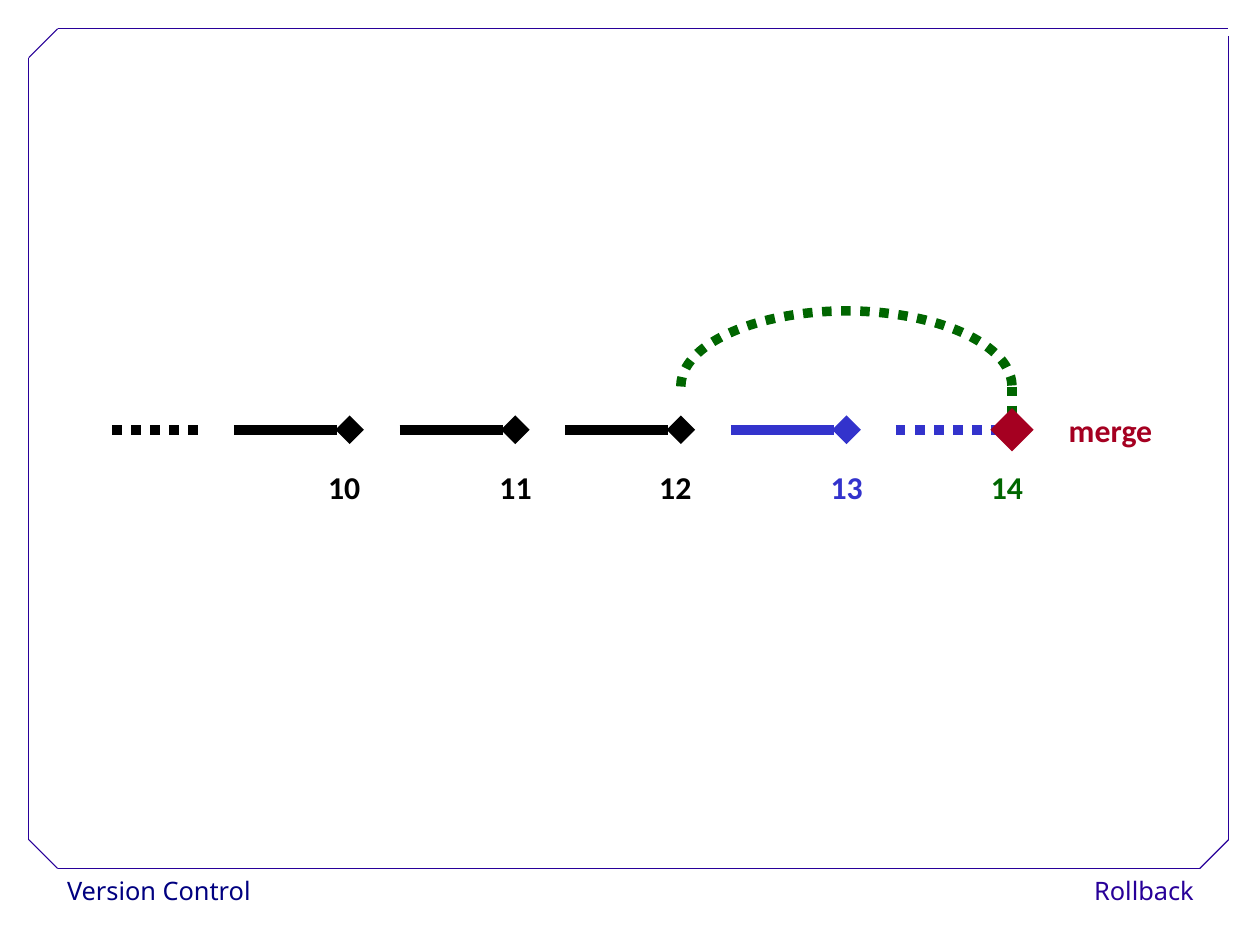
from lxml.etree import SubElement
from pptx import Presentation
from pptx.dml.color import RGBColor
from pptx.enum.dml import MSO_LINE
from pptx.enum.shapes import MSO_CONNECTOR, MSO_SHAPE
from pptx.enum.text import PP_ALIGN
from pptx.oxml.ns import qn
from pptx.util import Cm, Pt

BLACK, BLUE, GREEN, RED = "000000", "3333CC", "006600", "A50021"
NAVY, VIOLET, WHITE = "000080", "280099", "FFFFFF"
rgb = RGBColor.from_string

deck = Presentation()
deck.slide_width, deck.slide_height = Cm(28), Cm(21)
slide = deck.slides.add_slide(deck.slide_layouts[6])
shapes = slide.shapes


def add_label(wording, box, color, font_format, paragraph_format):
    label = shapes.add_textbox(*map(Cm, box))
    label.text_frame.word_wrap = True
    paragraph = label.text_frame.paragraphs[0]
    run = paragraph.add_run()
    run.text = wording
    run.font.color.rgb = rgb(color)
    for target, values in ((run.font, font_format), (paragraph, paragraph_format)):
        for attribute, value in values.items():
            setattr(target, attribute, value)
    return label


def add_stroke(ends, color, width, dash=None, diamond=False):
    stroke = shapes.add_connector(MSO_CONNECTOR.STRAIGHT, *map(Cm, ends))
    stroke.line.color.rgb = rgb(color)
    stroke.line.width = Pt(width)
    if dash:
        stroke.line.dash_style = dash
    properties = stroke._element.spPr
    if diamond:
        SubElement(properties.find(qn("a:ln")), qn("a:tailEnd"), type="diamond")
    SubElement(properties, qn("a:effectLst"))


footer_font = {"name": "Noto Sans", "size": Pt(16)}
for wording, box, color, alignment in (
    ("Version Control", (1.24, 19.3, 5.46, 1.02), NAVY, PP_ALIGN.LEFT),
    ("Rollback", (23.22, 19.3, 3.56, 1.02), VIOLET, PP_ALIGN.RIGHT),
):
    footer = add_label(wording, box, color, footer_font,
                       {"alignment": alignment, "line_spacing": 1.02})
    footer.fill.solid()
    footer.fill.fore_color.rgb = rgb(WHITE)

left, right, top, bottom, corner = 0.64, 27.3, 0.64, 19.3, 0.64
for border in (
    (left + corner, bottom, right - corner, bottom),
    (left, bottom - corner, left, top + corner),
    (left + corner, top, right, top),
    (right, bottom - corner, right, 0.81),
    (left, top + corner, left + corner, top),
    (right - corner, bottom, right, bottom - corner),
    (left, bottom - corner, left + corner, bottom),
):
    add_stroke(border, VIOLET, 0.75)

timeline, first_revision, revision_gap, revision_length = 9.55, 7.77, 3.68, 2.57
revision_font = {"name": "Calibri", "size": Pt(20), "bold": True}
revision_paragraph = {"line_spacing": 0.93}

for index, color in enumerate((BLACK, BLACK, BLACK, BLUE)):
    node = first_revision + index * revision_gap
    add_stroke((node - revision_length, timeline, node, timeline), color, 6, diamond=True)

for number, number_left, color in (
    ("10", 7.04, BLACK),
    ("11", 10.85, BLACK),
    ("12", 14.4, BLACK),
    ("13", 18.21, BLUE),
    ("14", 21.77, GREEN),
):
    add_label(number, (number_left, 10.34, 1.32, 1.04), color,
              revision_font, revision_paragraph)

add_stroke((2.49, timeline, 4.55, timeline), BLACK, 6, MSO_LINE.ROUND_DOT)

branch_start = first_revision + 2 * revision_gap
merge_node = first_revision + 4 * revision_gap
branch_top, branch_foot = 6.91, 8.59
rollback = shapes.add_shape(
    MSO_SHAPE.ARC, Cm(branch_start), Cm(branch_top),
    Cm(merge_node - branch_start), Cm(2 * (branch_foot - branch_top)))
rollback.adjustments[0] = 108
rollback.adjustments[1] = 0
rollback.shadow.inherit = False
rollback.fill.background()
rollback.line.color.rgb = rgb(GREEN)
for attribute, value in {"width": Pt(6), "dash_style": MSO_LINE.ROUND_DOT}.items():
    setattr(rollback.line, attribute, value)
add_stroke((merge_node, branch_foot, merge_node, timeline), GREEN, 6,
           MSO_LINE.ROUND_DOT, diamond=True)

add_stroke((19.91, timeline, 22.33, timeline), BLUE, 6, MSO_LINE.ROUND_DOT)
add_label("merge", (23.5, 9.07, 2.79, 1.04), RED, revision_font, revision_paragraph)

merge_size = 0.96
merge = shapes.add_shape(
    MSO_SHAPE.DIAMOND, Cm(merge_node - merge_size / 2), Cm(timeline - merge_size / 2),
    Cm(merge_size), Cm(merge_size))
merge.shadow.inherit = False
merge.fill.solid()
merge.fill.fore_color.rgb = rgb(RED)
merge.line.fill.background()

deck.save("out.pptx")
